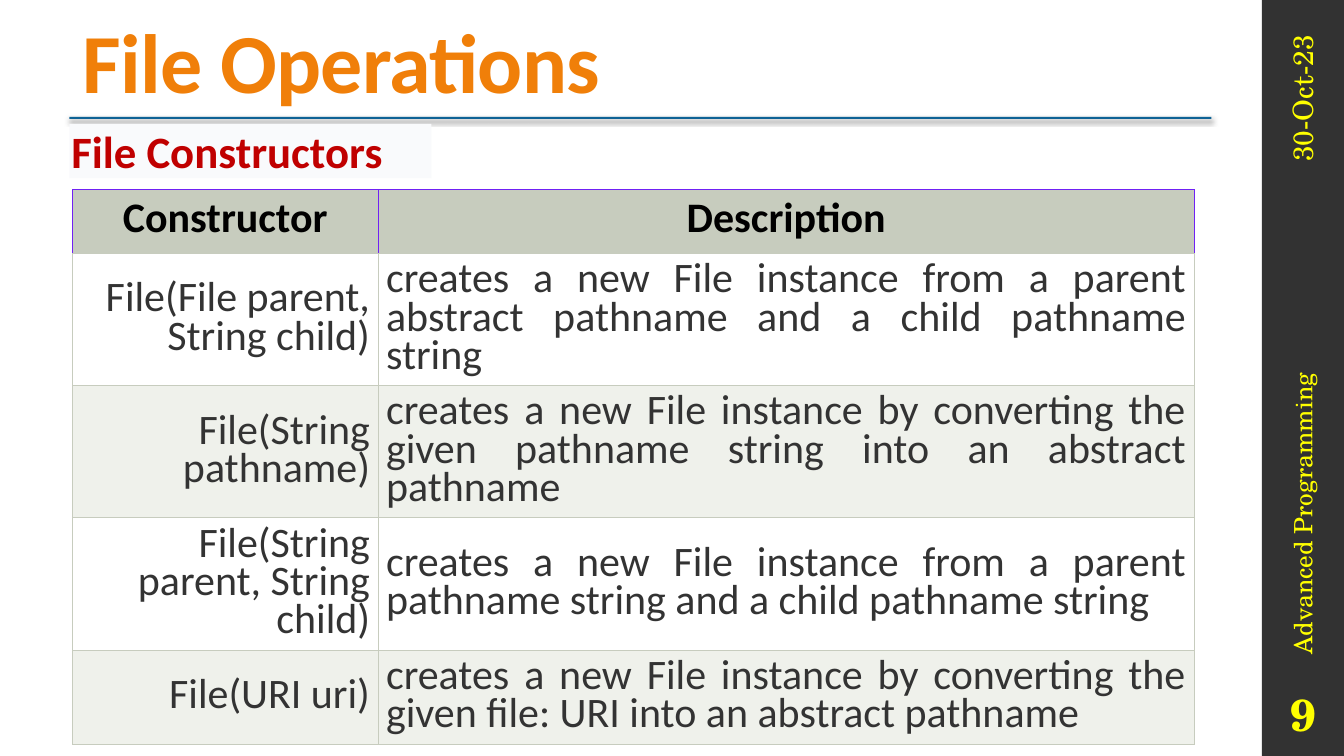
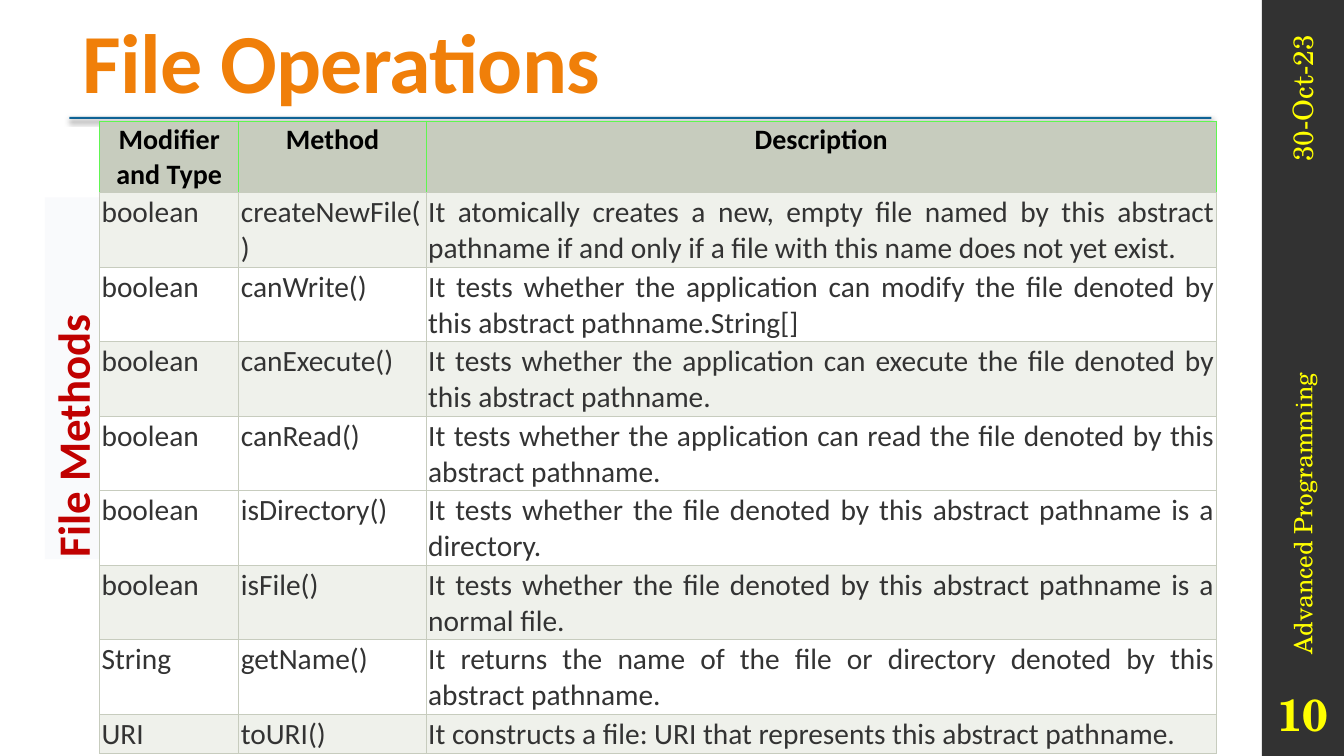
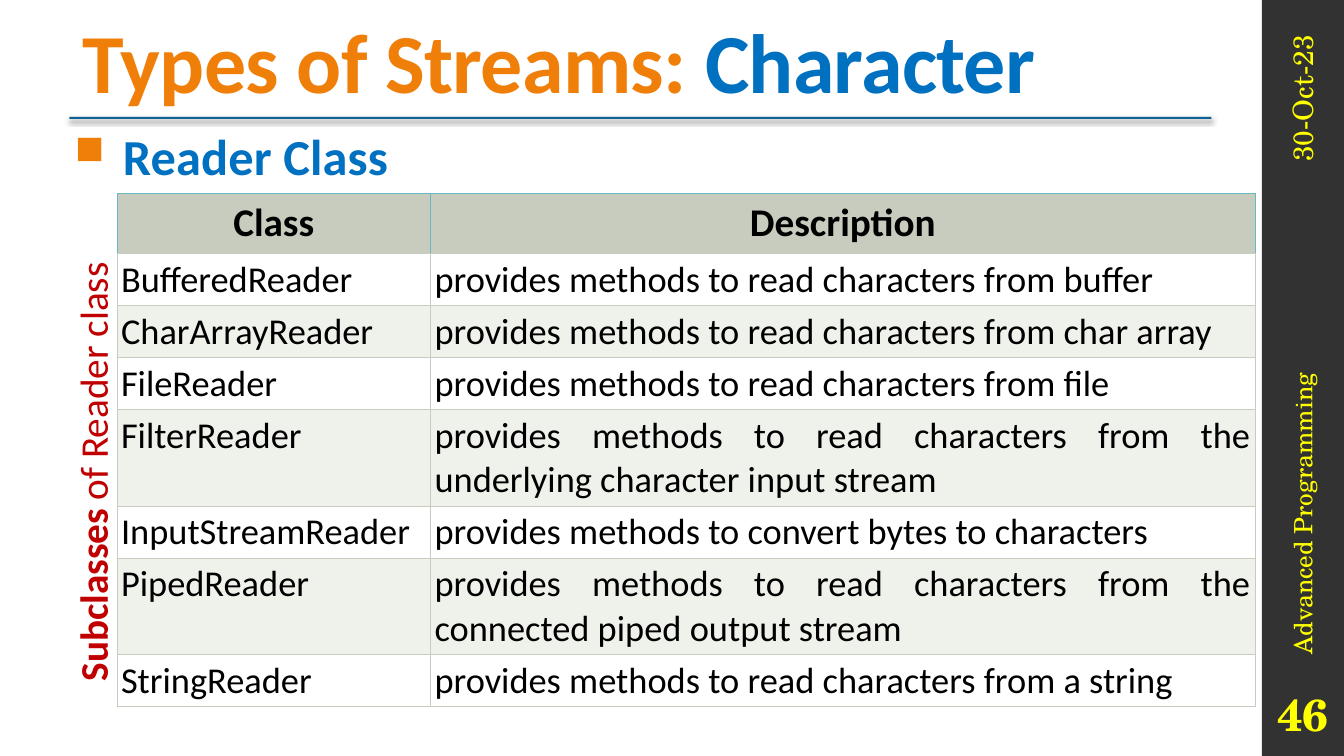
from dataclasses import dataclass

import pptx
import pptx.dml.color
import pptx.enum.shapes
import pptx.enum.text
import pptx.oxml
import pptx.oxml.ns
import pptx.util
from pptx.util import Cm

Align = pptx.enum.text.PP_ALIGN
Anchor = pptx.enum.text.MSO_ANCHOR


@dataclass(frozen=True)
class Theme:
    body_font: str = "Calibri"
    band_font: str = "TeX Gyre Schola"
    orange: str = "F07F09"
    blue: str = "0070C0"
    red: str = "C00000"
    black: str = "000000"
    text: str = "333333"
    yellow: str = "FFFF00"
    band: str = "323232"
    rule: str = "035C91"
    label: str = "F9FAFC"
    header: str = "C7CCBE"
    shaded: str = "EFF1EB"
    white: str = "FFFFFF"
    title_size: int = 60
    heading_size: int = 36
    label_size: int = 32
    number_size: int = 32
    date_size: int = 20
    course_size: int = 18


THEME = Theme()
SLIDE_WIDTH, SLIDE_HEIGHT = 33.87, 19.05
BAND_LEFT = 31.8
DATE = "30-Oct-23"
COURSE = "Advanced Programming"

# Boxes are left, top, width and height in centimetres, as seen on the slide.
SLIDES = [
    dict(
        number="9",
        title="File Operations",
        label=dict(content="File Constructors", box=(1.75, 3.12, 9.12, 1.37), fill=THEME.label,
                   size=THEME.label_size, bold=True, anchor=Anchor.MIDDLE, insets=(0.05, 0)),
        table=dict(
            position=(1.83, 4.78), columns=(7.7, 20.57), heights=(1.61, 3.33, 3.33, 3.33, 2.37),
            shaded_rows=(2, 4), accent="7021F4", header_size=30, header_inset=0.3,
            size=30, inset=0.2, color=THEME.text, line_spacing=0.75,
            anchor=Anchor.MIDDLE, first_align=Align.RIGHT,
            rows=[
                ("Constructor", "Description"),
                ("File(File parent, String child)",
                 "creates a new File instance from a parent abstract pathname and a child pathname string"),
                ("File(String pathname)",
                 "creates a new File instance by converting the given pathname string into an abstract pathname"),
                ("File(String parent, String child)",
                 "creates a new File instance from a parent pathname string and a child pathname string"),
                ("File(URI uri)",
                 "creates a new File instance by converting the given file: URI into an abstract pathname"),
            ],
        ),
    ),
    dict(
        number="10",
        title="File Operations",
        label=dict(content="File Methods", box=(1.13, 4.97, 1.37, 9.12), upward=True, fill=THEME.label,
                   size=THEME.label_size, bold=True, anchor=Anchor.MIDDLE, insets=(0.05, 0)),
        table=dict(
            position=(2.51, 3.05), columns=(3.51, 4.72, 19.91), heights=(1.8,) + (1.86,) * 7 + (0.95,),
            shaded_rows=(1, 3, 6, 8), accent="60F651", header_size=20, header_inset=0.05,
            size=21, inset=0.05, color=THEME.text,
            rows=[
                ("Modifier and Type", "Method", "Description"),
                ("boolean", "createNewFile()",
                 "It atomically creates a new, empty file named by this abstract pathname "
                 "if and only if a file with this name does not yet exist."),
                ("boolean", "canWrite()",
                 "It tests whether the application can modify the file denoted by this abstract pathname.String[]"),
                ("boolean", "canExecute()",
                 "It tests whether the application can execute the file denoted by this abstract pathname."),
                ("boolean", "canRead()",
                 "It tests whether the application can read the file denoted by this abstract pathname."),
                ("boolean", "isDirectory()",
                 "It tests whether the file denoted by this abstract pathname is a directory."),
                ("boolean", "isFile()",
                 "It tests whether the file denoted by this abstract pathname is a normal file."),
                ("String", "getName()",
                 "It returns the name of the file or directory denoted by this abstract pathname."),
                ("URI", "toURI()",
                 "It constructs a file: URI that represents this abstract pathname."),
            ],
        ),
    ),
    dict(
        number="46",
        title=[("Types of Streams: ", {}), ("Character", dict(color=THEME.blue))],
        heading="Reader Class",
        label=dict(content=[("Subclasses", dict(bold=True)), (" of Reader class", {})],
                   box=(1.6, 5.51, 1.45, 11.91), upward=True, size=28),
        table=dict(
            position=(2.95, 4.88), columns=(7.9, 20.78),
            heights=(1.51, 1.31, 1.31, 1.31, 2.43, 1.31, 2.43, 1.31),
            shaded_rows=(2, 4, 6), accent="68B8C3", header_size=28, header_inset=0.15,
            size=26, inset=0.1, color=THEME.black,
            rows=[
                ("Class", "Description"),
                ("BufferedReader", "provides methods to read characters from buffer"),
                ("CharArrayReader", "provides methods to read characters from char array"),
                ("FileReader", "provides methods to read characters from file"),
                ("FilterReader",
                 "provides methods to read characters from the underlying character input stream"),
                ("InputStreamReader", "provides methods to convert bytes to characters"),
                ("PipedReader",
                 "provides methods to read characters from the connected piped output stream"),
                ("StringReader", "provides methods to read characters from a string"),
            ],
        ),
    ),
]


def rgb(color):
    return pptx.dml.color.RGBColor.from_string(color)


def xml(markup):
    """Parse one drawing element whose tag opens the markup."""
    return pptx.oxml.parse_xml(markup.replace(" ", f' {pptx.oxml.ns.nsdecls("a")} ', 1))


def write(frame, content, *, size, color, font=THEME.body_font, bold=False, align=Align.LEFT,
          line_spacing=None, tracking=None, bullet=None):
    """Write one paragraph; content is a string or a list of (text, changes) runs."""
    paragraph = frame.paragraphs[0]
    paragraph.alignment = align
    if line_spacing:
        paragraph.line_spacing = line_spacing
    if bullet:
        properties = paragraph._p.get_or_add_pPr()
        properties.set("marL", str(Cm(1.22)))
        properties.set("indent", str(-Cm(1.22)))
        for markup in (f'<a:buClr ><a:srgbClr val="{THEME.orange}"/></a:buClr>',
                       '<a:buSzPct val="80000"/>', f'<a:buChar char="{bullet}"/>'):
            properties.append(xml(markup))
    for text, changes in [(content, {})] if isinstance(content, str) else content:
        run = paragraph.add_run()
        run.text = text
        run.font.name = font
        run.font.size = pptx.util.Pt(size)
        run.font.bold = changes.get("bold", bold)
        run.font.color.rgb = rgb(changes.get("color", color))
        if tracking:
            run._r.get_or_add_rPr().set("spc", str(round(tracking * 100)))


def add_text(slide, content, box, *, upward=False, fill=None, anchor=Anchor.TOP,
             insets=(0.25, 0.13), **text_format):
    """Add a text box; upward text is turned to read from bottom to top."""
    left, top, width, height = box
    if upward:
        left, top = left + (width - height) / 2, top + (height - width) / 2
        width, height = height, width
    shape = slide.shapes.add_textbox(Cm(left), Cm(top), Cm(width), Cm(height))
    if upward:
        shape.rotation = 270
    if fill:
        shape.fill.solid()
        shape.fill.fore_color.rgb = rgb(fill)
    frame = shape.text_frame
    frame.word_wrap = True
    frame.vertical_anchor = anchor
    frame.margin_left = frame.margin_right = Cm(insets[0])
    frame.margin_top = frame.margin_bottom = Cm(insets[1])
    write(frame, content, **text_format)


def add_title_rule(slide):
    line = slide.shapes.add_connector(
        pptx.enum.shapes.MSO_CONNECTOR.STRAIGHT, Cm(1.75), Cm(2.97), Cm(30.53), Cm(2.97))
    line.line.width = pptx.util.Pt(1.35)
    line.line.color.rgb = rgb(THEME.rule)
    color = line.line._ln.find(".//" + pptx.oxml.ns.qn("a:srgbClr"))
    color.append(xml('<a:alpha val="95000"/>'))
    line._element.spPr.append(xml(
        '<a:effectLst ><a:outerShdw blurRad="50800" dist="15240" dir="5400000" rotWithShape="0">'
        f'<a:srgbClr val="{THEME.black}"><a:alpha val="75000"/></a:srgbClr>'
        '</a:outerShdw></a:effectLst>'))


def add_frame(slide, title, number):
    """Draw the side band, title and title rule that every slide has."""
    band = slide.shapes.add_shape(
        pptx.enum.shapes.MSO_SHAPE.RECTANGLE,
        Cm(BAND_LEFT), 0, Cm(SLIDE_WIDTH - BAND_LEFT), Cm(SLIDE_HEIGHT))
    band.shadow.inherit = False
    band.fill.solid()
    band.fill.fore_color.rgb = rgb(THEME.band)
    band.line.fill.background()
    add_title_rule(slide)
    add_text(slide, title, (1.83, 0.61, 28.73, 2.34), anchor=Anchor.BOTTOM, size=THEME.title_size,
             color=THEME.orange, bold=True, line_spacing=0.9, tracking=-0.5)
    band_text = dict(font=THEME.band_font, color=THEME.yellow, anchor=Anchor.MIDDLE)
    add_text(slide, DATE, (32.31, 0.64, 1.02, 5.28), upward=True, size=THEME.date_size,
             align=Align.RIGHT, **band_text)
    add_text(slide, COURSE, (32.31, 6.78, 1.02, 9.96), upward=True, size=THEME.course_size, **band_text)
    add_text(slide, number, (BAND_LEFT, 17.15, SLIDE_WIDTH - BAND_LEFT, 1.65), size=THEME.number_size,
             bold=True, align=Align.CENTER, insets=(0.13, 0.13), **band_text)


def format_cell(cell, *, fill, border, inset, anchor):
    """Set borders, then fill; only the bottom border keeps the grid colour."""
    properties = cell._tc.get_or_add_tcPr()
    for side, color in (("L", border), ("R", border), ("T", border), ("B", THEME.header)):
        properties.append(xml(f'<a:ln{side} w="9525"><a:solidFill><a:srgbClr val="{color}"/>'
                              f'</a:solidFill></a:ln{side}>'))
    cell.fill.solid()
    cell.fill.fore_color.rgb = rgb(fill)
    cell.margin_left = cell.margin_right = cell.margin_top = cell.margin_bottom = Cm(inset)
    cell.vertical_anchor = anchor


def add_grid(slide, *, position, columns, heights, rows, shaded_rows, accent, header_size, header_inset,
             size, inset, color, line_spacing=None, anchor=Anchor.TOP, first_align=Align.JUSTIFY):
    left, top = position
    table = slide.shapes.add_table(len(rows), len(columns), Cm(left), Cm(top),
                                   Cm(sum(columns)), Cm(sum(heights))).table
    for column, width in zip(table.columns, columns):
        column.width = Cm(width)
    for row, height in zip(table.rows, heights):
        row.height = Cm(height)
    for row_index, texts in enumerate(rows):
        for column_index, text in enumerate(texts):
            cell = table.cell(row_index, column_index)
            if row_index == 0:
                format_cell(cell, fill=THEME.header, border=accent, inset=header_inset, anchor=Anchor.TOP)
                write(cell.text_frame, text, size=header_size, color=THEME.black, bold=True,
                      align=Align.CENTER, line_spacing=line_spacing)
            else:
                fill = THEME.shaded if row_index in shaded_rows else THEME.white
                format_cell(cell, fill=fill, border=THEME.header, inset=inset, anchor=anchor)
                write(cell.text_frame, text, size=size, color=color, line_spacing=line_spacing,
                      align=Align.JUSTIFY if column_index else first_align)


def main():
    presentation = pptx.Presentation()
    presentation.slide_width = Cm(SLIDE_WIDTH)
    presentation.slide_height = Cm(SLIDE_HEIGHT)
    for content in SLIDES:
        slide = presentation.slides.add_slide(presentation.slide_layouts[6])
        add_frame(slide, content["title"], content["number"])
        if "heading" in content:
            add_text(slide, content["heading"], (1.63, 3.02, 28.93, 1.8), size=THEME.heading_size,
                     color=THEME.blue, bold=True, tracking=0.1, bullet="■")
        add_text(slide, color=THEME.red, **content["label"])
        add_grid(slide, **content["table"])
    presentation.save("out.pptx")


if __name__ == "__main__":
    main()
